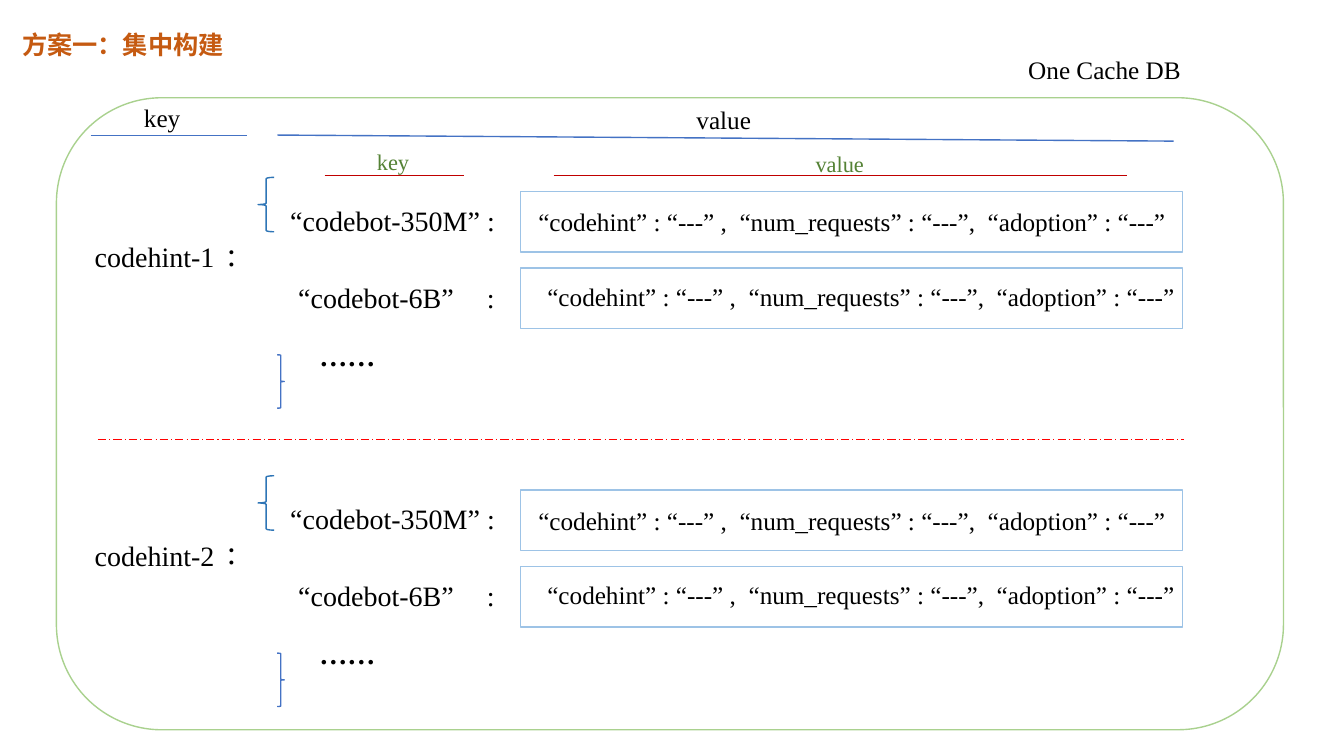
from lxml.etree import SubElement
from pptx import Presentation
from pptx.dml.color import RGBColor
from pptx.enum.dml import MSO_LINE
from pptx.enum.shapes import MSO_CONNECTOR, MSO_SHAPE
from pptx.enum.text import MSO_AUTO_SIZE
from pptx.oxml import parse_xml
from pptx.oxml.ns import nsdecls, qn
from pptx.util import Pt

PX = 9144
THEME = {
    "latin": "Times New Roman", "cjk": "Noto Sans CJK SC",
    "ink": "000000", "title": "C55A11", "inner": "548235",
    "frame": "A9D18E", "box": "9DC3E6", "open": "2E75B6", "blue": "4472C4",
    "underline": "C00000", "divider": "FF0000",
    "small": 16, "body": 18, "label": 20, "colon": 24,
}

prs = Presentation()
prs.slide_width, prs.slide_height = 1333 * PX, 750 * PX
s = prs.slides.add_slide(prs.slide_layouts[6])


def add_text(text, x, y, w, h, size="body", color="ink", font="latin", bold=False, wrap=False, tab=None):
    tf = s.shapes.add_textbox(x * PX, y * PX, w * PX, h * PX).text_frame
    tf.word_wrap = wrap
    tf.auto_size = MSO_AUTO_SIZE.SHAPE_TO_FIT_TEXT
    p = tf.paragraphs[0]
    p.text = text
    p.font.size = Pt(THEME[size])
    p.font.bold = bold
    p.font.color.rgb = RGBColor.from_string(THEME[color])
    p.font.name = THEME[font]
    pPr = p._p.pPr
    SubElement(pPr.find(qn("a:defRPr")), qn("a:ea"), typeface=THEME[font])
    if tab:
        pPr.insert(0, parse_xml(f'<a:tabLst {nsdecls("a")}><a:tab pos="{tab * PX}" algn="l"/></a:tabLst>'))


def add_outline(kind, x, y, w, h, color):
    sp = s.shapes.add_shape(kind, x * PX, y * PX, w * PX, h * PX)
    sp.shadow.inherit = False
    sp.fill.background()
    sp.line.color.rgb = RGBColor.from_string(THEME[color])
    sp.line.width = Pt(1)


add_text("方案一：集中构建", 12, 24, 222, 40, color="title", font="cjk", bold=True)
add_text("One Cache DB", 1010, 49, 190, 40)
add_outline(MSO_SHAPE.ROUNDED_RECTANGLE, 56, 97, 1217, 627, "frame")

add_text("key", 133, 97, 57, 40)
add_text("value", 681, 99, 77, 40)
add_text("key", 364, 142, 53, 37, "small", "inner")
add_text("value", 799, 144, 69, 37, "small", "inner")

for x1, y1, x2, y2, color, width, dash in (
    (90, 134, 245, 134, "blue", 0.75, None),
    (275, 134, 1164, 140, "blue", 1, None),
    (322, 174, 460, 174, "underline", 0.75, None),
    (549, 174, 1118, 174, "underline", 0.75, None),
    (97, 436, 1174, 436, "divider", 0.75, MSO_LINE.LONG_DASH_DOT),
):
    cx = s.shapes.add_connector(MSO_CONNECTOR.STRAIGHT, x1 * PX, y1 * PX, x2 * PX, y2 * PX)
    cx.line.color.rgb = RGBColor.from_string(THEME[color])
    cx.line.width = Pt(width)
    cx.line.dash_style = dash
    SubElement(cx._element.spPr, qn("a:effectLst"))

RECORD = "“codehint” : “---” ,  “num_requests” : “---”,  “adoption” : “---”"
for i, name in enumerate(("codehint-1", "codehint-2")):
    top = 176 + 296 * i
    add_text(name, 84, top + 57, 140, 44, "label")
    add_text(":", 219, top + 50, 16, 50, "colon", wrap=True)
    add_outline(MSO_SHAPE.LEFT_BRACE, 256, top, 16, 54, "open")
    add_outline(MSO_SHAPE.RIGHT_BRACE, 275, top + 176, 7, 53, "blue")
    add_text("“codebot-350M” :", 278, top + 21, 230, 44, "label", wrap=True)
    add_text("“codebot-6B”\t:", 286, top + 97, 223, 44, "label", wrap=True, tab=187)
    add_text("……", 307, top + 155, 76, 44, "label", bold=True)
    for row, x in enumerate((524, 533)):
        add_outline(MSO_SHAPE.RECTANGLE, 516, top + 14 + 76 * row, 657, 60, "box")
        add_text(RECORD, x, top + 24 + 74 * row, 649, 40)

prs.save("out.pptx")
